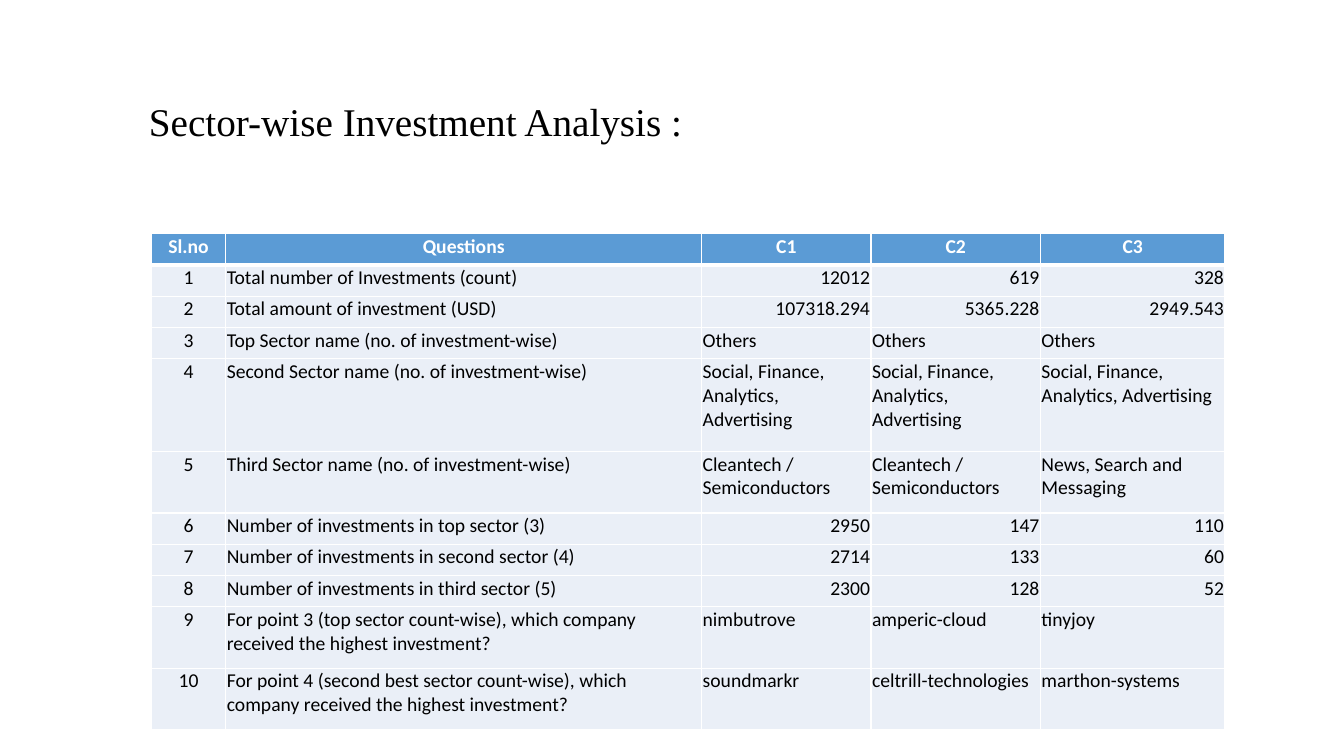
from lxml import etree
from pptx import Presentation
from pptx import util as u
from pptx.dml.color import RGBColor
from pptx.enum import text
from pptx.oxml import ns

ALIGN = text.PP_ALIGN
COLUMN_WIDTHS = [0.74, 4.72, 1.68, 1.68, 1.83]
LINE_ROW, TWO_LINE_ROW, THREE_LINE_ROW = 0.31, 0.61, 0.92
ROW_HEIGHTS = (
    [LINE_ROW] * 4 + [THREE_LINE_ROW, TWO_LINE_ROW] + [LINE_ROW] * 3 + [TWO_LINE_ROW] * 2
)
HEADINGS = ["Sl.no", "Questions", "C1", "C2", "C3"]
SOCIAL = "Social, Finance, Analytics, Advertising"
CLEANTECH = "Cleantech / Semiconductors"
ANSWERS = [
    ["Total number of Investments (count)", "12012", "619", "328"],
    ["Total amount of investment (USD)", "107318.294", "5365.228", "2949.543"],
    ["Top Sector name (no. of investment-wise)"] + ["Others"] * 3,
    ["Second Sector name (no. of investment-wise)"] + [SOCIAL] * 3,
    ["Third Sector name (no. of investment-wise)", CLEANTECH, CLEANTECH,
     "News, Search and Messaging"],
    ["Number of investments in top sector (3)", "2950", "147", "110"],
    ["Number of investments in second sector (4)", "2714", "133", "60"],
    ["Number of investments in third sector (5)", "2300", "128", "52"],
    ["For point 3 (top sector count-wise), which company received the highest investment?",
     "nimbutrove", "amperic-cloud", "tinyjoy"],
    ["For point 4 (second best sector count-wise), which company received the highest investment?",
     "soundmarkr", "celtrill-technologies", "marthon-systems"],
]


def color(value):
    return RGBColor.from_string(value)


def apply(target, values):
    for name, value in values.items():
        setattr(target, name, value)


class SlideBuilder:
    white = "FFFFFF"
    black = "000000"
    header_fill = "5B9BD5"
    body_fill = "EAEFF7"
    title_font = "Times New Roman"
    table_font = "Calibri"

    def __init__(self, slide):
        self.slide = slide

    def add_text(self, paragraph, content, font_color, **font_values):
        run = paragraph.add_run()
        run.text = content
        apply(run.font, font_values)
        run.font.color.rgb = color(font_color)

    def title(self, left, top, width, height, pieces):
        box = self.slide.shapes.add_textbox(*map(u.Inches, (left, top, width, height)))
        apply(box.text_frame, {"word_wrap": True, "vertical_anchor": text.MSO_ANCHOR.MIDDLE})
        paragraph = box.text_frame.paragraphs[0]
        paragraph.line_spacing = 0.9
        for content, size, bold in pieces:
            self.add_text(paragraph, content, self.black,
                          name=self.title_font, size=u.Pt(size), bold=bold)

    def borders(self, cell, widths):
        properties = cell._tc.get_or_add_tcPr()
        for side, width in widths.items():
            line = etree.SubElement(properties, ns.qn("a:ln" + side), w=str(u.Pt(width)))
            fill = etree.SubElement(line, ns.qn("a:solidFill"))
            etree.SubElement(fill, ns.qn("a:srgbClr"), val=self.white)

    def cell(self, cell, content, row, column):
        header = row == 0
        centered = header or column == 0
        numeric = content.replace(".", "").isdigit()
        self.borders(cell, {"L": 1, "R": 1, "T": 3 if row == 1 else 1, "B": 3 if header else 1})
        cell.fill.solid()
        cell.fill.fore_color.rgb = color(self.header_fill if header else self.body_fill)
        edge = u.Inches(0.01)
        apply(cell, {"margin_left": edge, "margin_right": edge,
                     "margin_top": edge, "margin_bottom": 0})
        paragraph = cell.text_frame.paragraphs[0]
        paragraph.alignment = (
            ALIGN.CENTER if centered else ALIGN.RIGHT if numeric else ALIGN.LEFT
        )
        self.add_text(paragraph, content, self.white if header else self.black,
                      name=self.table_font, size=u.Pt(14), bold=header)

    def table(self, left, top, widths, heights, rows):
        frame = self.slide.shapes.add_table(
            len(heights), len(widths),
            *map(u.Inches, (left, top, sum(widths), sum(heights))))
        table = frame.table
        for column, width in zip(table.columns, widths):
            column.width = u.Inches(width)
        for row, height in zip(table.rows, heights):
            row.height = u.Inches(height)
        for row, contents in enumerate(rows):
            for column, content in enumerate(contents):
                self.cell(table.cell(row, column), content, row, column)


def main():
    presentation = Presentation()
    apply(presentation, {"slide_width": u.Inches(13.33), "slide_height": u.Inches(7.5)})
    builder = SlideBuilder(presentation.slides.add_slide(presentation.slide_layouts[6]))
    builder.title(1.24, 0.7, 10.19, 0.94,
                  [(" ", 40, True), ("Sector-wise Investment Analysis :", 28, False)])
    numbered = [[str(number), *answer] for number, answer in enumerate(ANSWERS, 1)]
    builder.table(1.5, 2.32, COLUMN_WIDTHS, ROW_HEIGHTS, [HEADINGS, *numbered])
    presentation.save("out.pptx")


if __name__ == "__main__":
    main()
